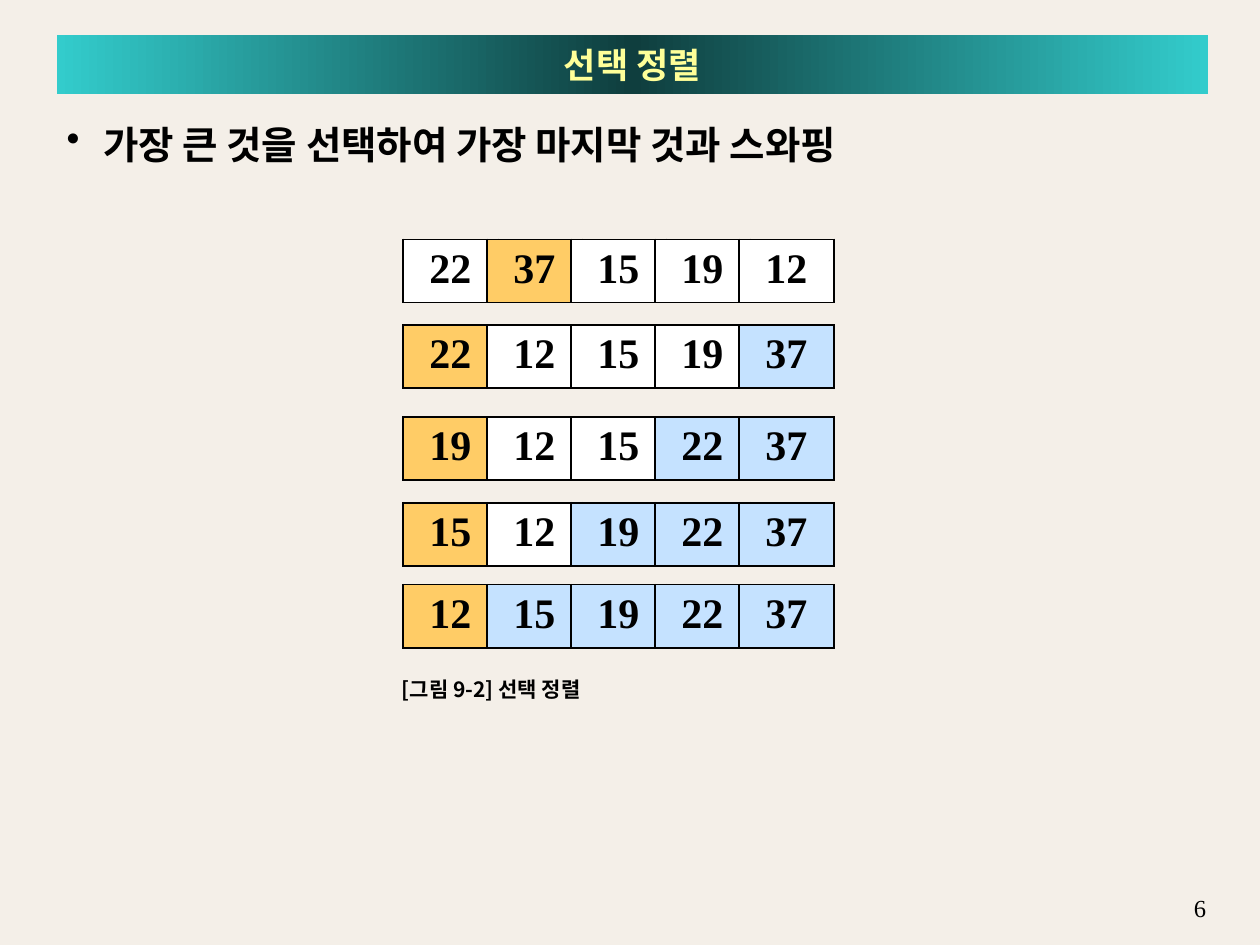
import copy

import pptx
import pptx.dml.color
import pptx.enum.shapes
import pptx.enum.text
import pptx.oxml
import pptx.oxml.ns
import pptx.util

Inches = pptx.util.Inches
Pt = pptx.util.Pt
ALIGN = pptx.enum.text.PP_ALIGN
ANCHOR = pptx.enum.text.MSO_ANCHOR
qn = pptx.oxml.ns.qn

COLORS = {
    "background": "F4EFE8",
    "band_edge": "33CCCC",
    "band_middle": "0F3E3E",
    "title": "FFFF99",
    "text": "000000",
    "plain": "FFFFFF",
    "largest": "FFCC66",
    "sorted": "C5E2FF",
}
KOREAN = "Noto Sans CJK KR"
LATIN = "Times New Roman"

CELL_LEFT, CELL_PITCH = 3.2, 2 / 3
CELL_WIDTH, CELL_HEIGHT = 0.75, 0.5
STEPS = [
    (1.9, [22, 37, 15, 19, 12]),
    (2.58, [22, 12, 15, 19, 37]),
    (3.31, [19, 12, 15, 22, 37]),
    (3.99, [15, 12, 19, 22, 37]),
    (4.64, [12, 15, 19, 22, 37]),
]


def color(name):
    return pptx.dml.color.RGBColor.from_string(COLORS[name])


def write_text(frame, text, size, font=KOREAN, bold=True, fill="text",
               align=ALIGN.LEFT, hanging=0, bullet=None):
    paragraph = frame.paragraphs[0]
    paragraph.alignment = align
    properties = paragraph._p.get_or_add_pPr()
    if hanging:
        properties.set("marL", str(Inches(hanging)))
        properties.set("indent", str(-Inches(hanging)))
    if bullet:
        pptx.oxml.ns  # noqa
        mark = properties.makeelement(qn("a:buChar"), {"char": bullet})
        properties.append(mark)
    run = paragraph.add_run()
    run.text = text
    run.font.size = Pt(size)
    run.font.bold = bold
    run.font.name = font
    run.font.color.rgb = color(fill)
    run_properties = run._r.get_or_add_rPr()
    east_asian = run_properties.makeelement(qn("a:ea"), {"typeface": font})
    run_properties.find(qn("a:latin")).addnext(east_asian)


def add_text_box(slide, text, left, top, width, height, inset_left=0.1, **text_format):
    shape = slide.shapes.add_textbox(
        Inches(left), Inches(top), Inches(width), Inches(height))
    frame = shape.text_frame
    frame.word_wrap = True
    frame.margin_left = Inches(inset_left)
    write_text(frame, text, **text_format)


def add_title_band(slide, text):
    shape = slide.shapes.add_shape(
        pptx.enum.shapes.MSO_SHAPE.RECTANGLE,
        Inches(0.45), Inches(0.28), Inches(9.14), Inches(0.47))
    shape.shadow.inherit = False
    shape.line.fill.background()
    shape.fill.gradient()
    shape.fill.gradient_angle = 0
    stop_list = shape._element.spPr.find(qn("a:gradFill")).find(qn("a:gsLst"))
    stop_list.append(copy.deepcopy(stop_list[0]))
    stops = zip(shape.fill.gradient_stops, (0, 0.5, 1),
                ("band_edge", "band_middle", "band_edge"))
    for stop, position, name in stops:
        stop.position = position
        stop.color.rgb = color(name)
    shape.text_frame.vertical_anchor = ANCHOR.MIDDLE
    write_text(shape.text_frame, text, size=20, fill="title", align=ALIGN.CENTER)


def add_borders(cell, width):
    properties = cell._tc.get_or_add_tcPr()
    for index, side in enumerate(("a:lnL", "a:lnR", "a:lnT", "a:lnB")):
        line = properties.makeelement(qn(side), {"w": str(Pt(width))})
        solid = line.makeelement(qn("a:solidFill"), {})
        solid.append(solid.makeelement(qn("a:srgbClr"), {"val": COLORS["text"]}))
        line.append(solid)
        properties.insert(index, line)


def add_number_cell(slide, number, left, top, fill):
    table = slide.shapes.add_table(
        1, 1, Inches(left), Inches(top), Inches(CELL_WIDTH), Inches(CELL_HEIGHT)).table
    table.first_row = False
    table.horz_banding = False
    cell = table.cell(0, 0)
    cell.fill.solid()
    cell.fill.fore_color.rgb = color(fill)
    add_borders(cell, 1.08)
    write_text(cell.text_frame, str(number), size=24, font=LATIN, align=ALIGN.CENTER)


def add_sorting_step(slide, top, numbers, sorted_count):
    unsorted_count = len(numbers) - sorted_count
    largest = max(numbers[:unsorted_count])
    for column, number in enumerate(numbers):
        if column >= unsorted_count:
            fill = "sorted"
        else:
            fill = "largest" if number == largest else "plain"
        add_number_cell(slide, number, CELL_LEFT + column * CELL_PITCH, top, fill)


def main():
    presentation = pptx.Presentation()
    presentation.slide_width = Inches(10)
    presentation.slide_height = Inches(7.5)
    slide = presentation.slides.add_slide(presentation.slide_layouts[6])
    slide.background.fill.solid()
    slide.background.fill.fore_color.rgb = color("background")

    add_text_box(slide, "6", 9.25, 7.04, 0.42, 0.17,
                 size=14, font=LATIN, bold=False, align=ALIGN.RIGHT)
    add_title_band(slide, "선택 정렬")
    add_text_box(slide, "가장 큰 것을 선택하여 가장 마지막 것과 스와핑",
                 0.43, 0.91, 9.14, 6.14, size=22, hanging=0.29, bullet="•")
    for sorted_count, (top, numbers) in enumerate(STEPS):
        add_sorting_step(slide, top, numbers, sorted_count)
    add_text_box(slide, "[그림 9-2] 선택 정렬", 3.19, 5.32, 4.02, 0.3,
                 inset_left=0, size=12, hanging=0.4)

    presentation.save("out.pptx")


if __name__ == "__main__":
    main()
